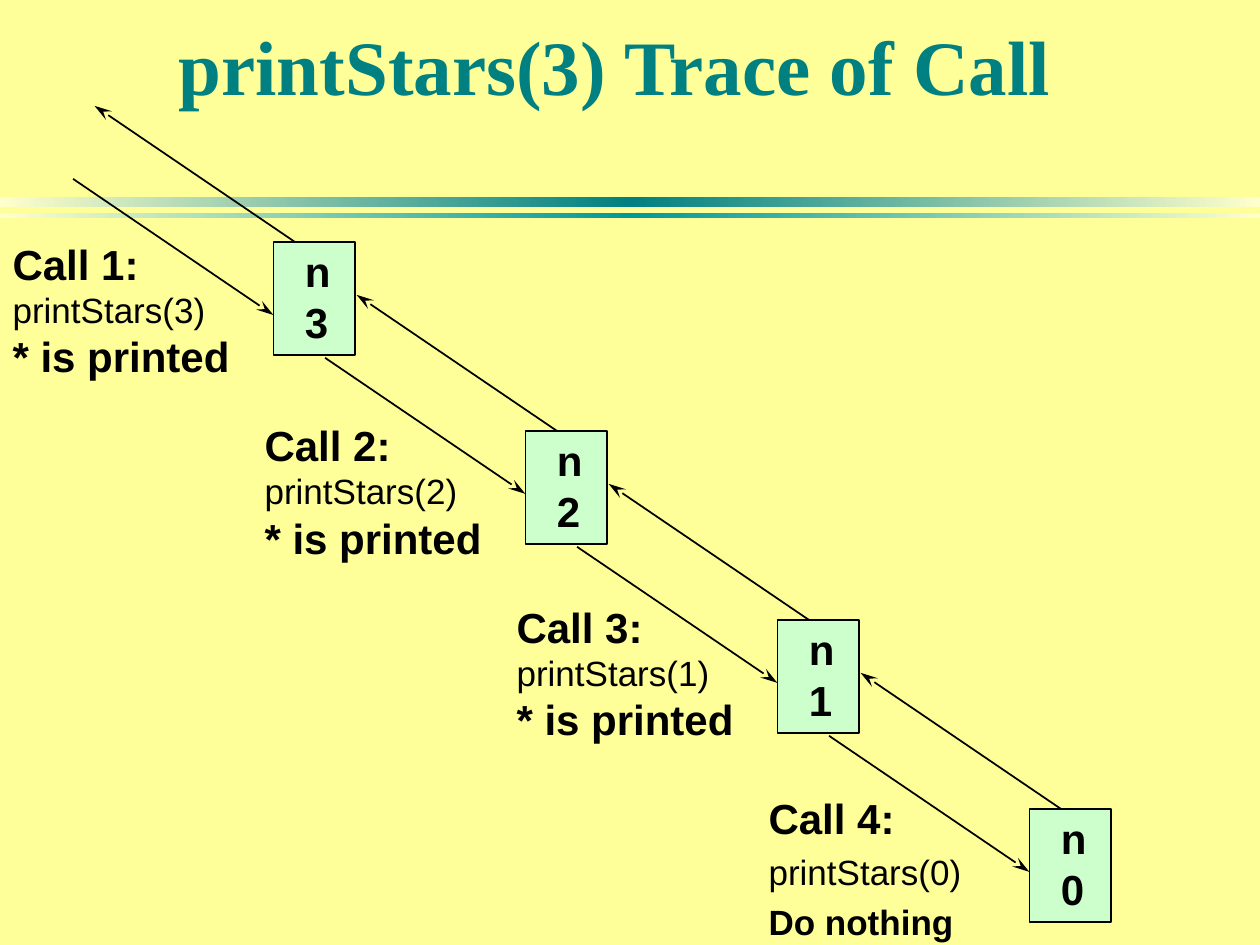
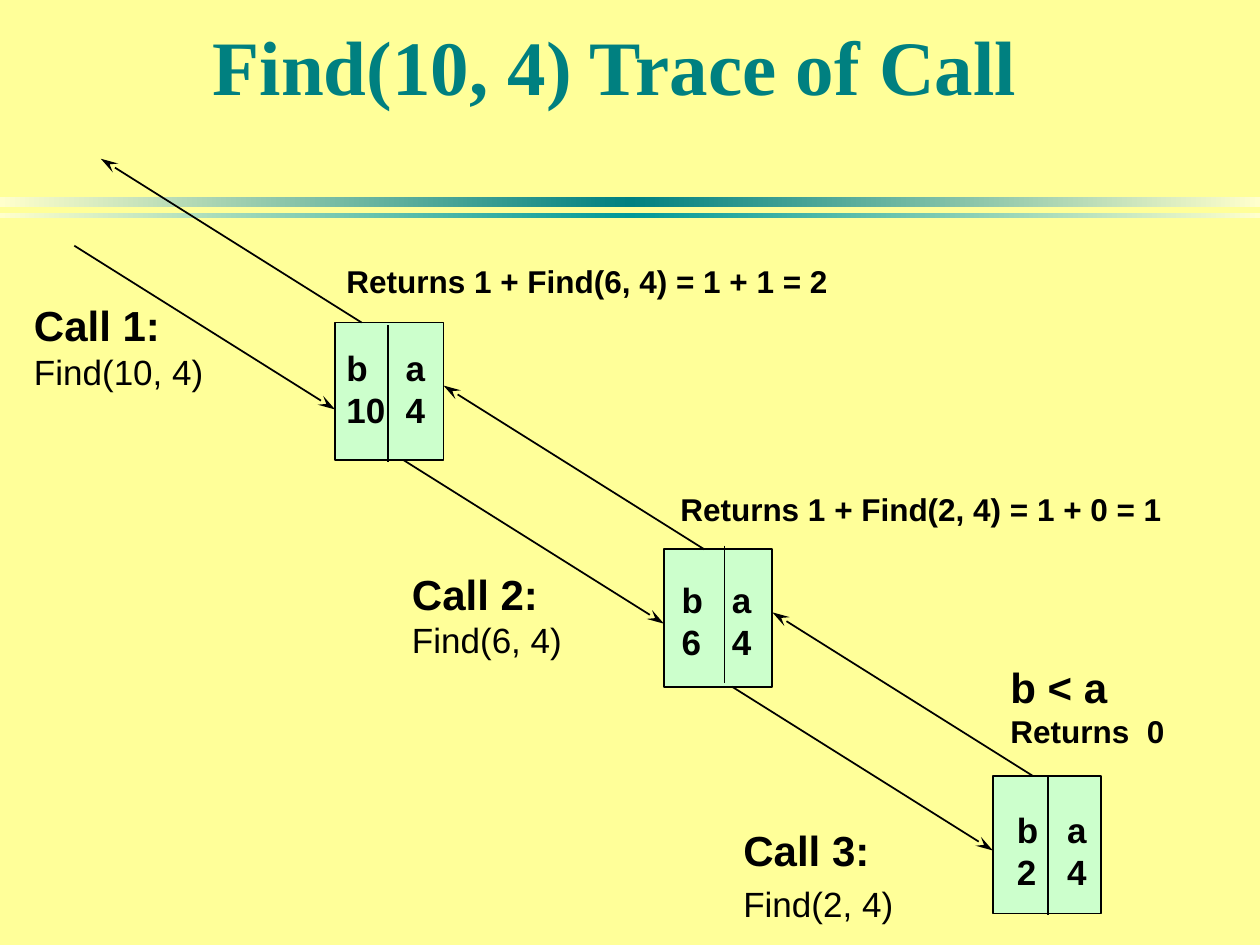
import pptx
import pptx.dml.color
import pptx.enum.shapes
import pptx.enum.text
import pptx.oxml.ns
import pptx.util
from dataclasses import dataclass
from lxml import etree

qn = pptx.oxml.ns.qn
Pt = pptx.util.Pt
SHAPE = pptx.enum.shapes.MSO_SHAPE
ALIGN = pptx.enum.text.PP_ALIGN
ANCHOR = pptx.enum.text.MSO_ANCHOR


@dataclass(frozen=True)
class Theme:
    back: str = "FFFF99"
    box: str = "CCFFCC"
    ink: str = "000000"
    title: str = "008080"
    band_edge: str = "FFFFCC"
    band_dark: str = "008080"
    band_light: str = "009999"
    title_font: str = "Times New Roman"
    body_font: str = "Arial"
    title_size: int = 44
    head_size: int = 24
    code_size: int = 20
    note_size: int = 18
    line_width: int = 1
    wide_gap: float = 4.5


T = Theme()
COLS, ROWS = 10, 7.5
UNIT = pptx.util.Inches(1)


def grid(*values):
    return [round(v * UNIT) for v in values]


def rgb(value):
    return pptx.dml.color.RGBColor.from_string(value)


def add_run(p, text, size, bold=True, font=T.body_font, color=T.ink):
    r = p.add_run()
    r.text = text
    r.font.size = Pt(size)
    r.font.bold = bold
    r.font.name = font
    r.font.color.rgb = rgb(color)


def set_insets(tf, left=0, top=0, right=0, bottom=0):
    tf.margin_left, tf.margin_top, tf.margin_right, tf.margin_bottom = grid(left, top, right, bottom)


def fill_lines(tf, lines, gap=0):
    for i, (text, size, bold) in enumerate(lines):
        p = tf.paragraphs[0] if i == 0 else tf.add_paragraph()
        p.alignment = ALIGN.LEFT
        p.space_before = Pt(gap if i else 0)
        add_run(p, text, size, bold)


def add_text(s, box, lines, gap=0):
    tf = s.shapes.add_textbox(*grid(*box)).text_frame
    tf.word_wrap = False
    set_insets(tf)
    fill_lines(tf, lines, gap)


def add_box(s, box):
    sp = s.shapes.add_shape(SHAPE.RECTANGLE, *grid(*box))
    sp.shadow.inherit = False
    sp.fill.solid()
    sp.fill.fore_color.rgb = rgb(T.box)
    sp.line.color.rgb = rgb(T.ink)
    sp.line.width = Pt(T.line_width)
    return sp


def add_line(s, box, start, end, arrow=True):
    x, y = box[:2]
    ends = grid(x + start[0], y + start[1], x + end[0], y + end[1])
    cn = s.shapes.add_connector(pptx.enum.shapes.MSO_CONNECTOR.STRAIGHT, *ends)
    cn.line.color.rgb = rgb(T.ink)
    cn.line.width = Pt(T.line_width)
    if arrow:
        ln = cn._element.spPr.find(qn("a:ln"))
        etree.SubElement(ln, qn("a:tailEnd"), type="stealth", w="med", len="lg")
    etree.SubElement(cn._element.spPr, qn("a:effectLst"))


def add_arrows(s, box, span, entry, leave):
    dx, dy = span
    add_line(s, box, (-dx, entry - dy), (0, entry))
    add_line(s, box, (leave, 0), (leave - dx, -dy))


def add_band(s, master, box, middle):
    sp = s.shapes.add_shape(SHAPE.RECTANGLE, *grid(*box))
    sp.shadow.inherit = False
    sp.line.fill.background()
    sp.fill.gradient()
    sp.fill.gradient_angle = 0
    stops = sp._element.spPr.find(".//" + qn("a:gsLst"))
    for gs in list(stops):
        stops.remove(gs)
    for share, color in ((0, T.band_edge), (50, middle), (100, T.band_edge)):
        gs = etree.SubElement(stops, qn("a:gs"), pos=str(share * 1000))
        etree.SubElement(gs, qn("a:srgbClr"), val=color)
    master.shapes.element.append(sp._element)


def style_master(prs, s):
    master = prs.slide_master
    master.background.fill.solid()
    master.background.fill.fore_color.rgb = rgb(T.back)
    add_band(s, master, (0, 1.56, COLS, 0.08), T.band_dark)
    add_band(s, master, (0, 1.69, COLS, 0.04), T.band_light)


def add_slide(prs, title):
    s = prs.slides.add_slide(prs.slide_layouts[5])
    sp = s.shapes.title
    sp.left, sp.top, sp.width, sp.height = grid(0.92, 0.42, 8.08, 1.25)
    tf = sp.text_frame
    tf.auto_size = pptx.enum.text.MSO_AUTO_SIZE.NONE
    tf.vertical_anchor = ANCHOR.BOTTOM
    set_insets(tf, left=0.1, right=0.26, bottom=0.79)
    p = tf.paragraphs[0]
    p.alignment = ALIGN.CENTER
    add_run(p, title, T.title_size, font=T.title_font, color=T.title)
    return s


def add_star_call(s, box, n):
    sp = add_box(s, box)
    tf = sp.text_frame
    tf.vertical_anchor = ANCHOR.TOP
    tf.word_wrap = False
    set_insets(tf, left=0.25, top=0.03)
    fill_lines(tf, [("n", T.head_size, True), (str(n), T.head_size, True)])


def build_stars(prs):
    s = add_slide(prs, "printStars(3) Trace of Call")
    for i, n in enumerate((3, 2, 1, 0)):
        box = (2.17 + 2 * i, 1.92 + 1.5 * i, 0.65, 0.9)
        add_star_call(s, box, n)
        entry, leave = (0.5, 0.25) if i else (0.58, 0.17)
        add_arrows(s, box, (1.59, 1.08), entry, leave)
        result = ("* is printed", T.head_size, True) if n else ("Do nothing", T.code_size, True)
        lines = [(f"Call {i + 1}:", T.head_size, True), (f"printStars({n})", T.code_size, False), result]
        top = 1.89 + 1.44 * i if n else 6.29
        add_text(s, (0.1 + 2 * i, top, 1.8, 1.15), lines, gap=0 if n else T.wide_gap)
    return s


def add_find_call(s, box, b, text_at, a_gap, divider):
    x, y, w, h = box
    add_box(s, box)
    dx, dy = text_at
    for name, value, shift in (("b", b, 0), ("a", 4, a_gap)):
        lines = [(name, T.code_size, True), (str(value), T.code_size, True)]
        add_text(s, (x + dx + shift, y + dy, 0.4, 0.67), lines)
    mid, drop = divider
    add_line(s, box, (mid, drop), (mid, drop + h), arrow=False)


def build_find(prs):
    s = add_slide(prs, "Find(10, 4) Trace of Call")
    calls = [
        (10, (0.09, 0.19), 0.47, (0.42, 0.02), (0.27, 2.38), 0),
        (6, (0.14, 0.23), 0.4, (0.48, -0.03), (3.27, 4.51), 0),
        (2, (0.19, 0.26), 0.4, (0.44, 0.01), (5.9, 6.54), T.wide_gap),
    ]
    for i, (b, text_at, a_gap, divider, label_at, gap) in enumerate(calls):
        box = (2.66 + 2.61 * i, 2.56 + 1.8 * i, 0.86, 1.09)
        add_find_call(s, box, b, text_at, a_gap, divider)
        entry, leave = (0.59, 0.32) if i else (0.69, 0.21)
        add_arrows(s, box, (2.07, 1.3), entry, leave)
        lines = [(f"Call {i + 1}:", T.head_size, True), (f"Find({b}, 4)", T.code_size, False)]
        add_text(s, (*label_at, 1.4, 0.75), lines, gap)
    for x, y, result in (
        (2.75, 2.08, "Returns 1 + Find(6, 4) = 1 + 1 = 2"),
        (5.4, 3.89, "Returns 1 + Find(2, 4) = 1 + 0 = 1"),
    ):
        add_text(s, (x, y, 3.9, 0.3), [(result, T.note_size, True)])
    base_case = [("b < a", T.head_size, True), ("Returns  0", T.note_size, True)]
    add_text(s, (8.02, 5.25, 1.3, 0.7), base_case)


def main():
    prs = pptx.Presentation()
    prs.slide_width, prs.slide_height = grid(COLS, ROWS)
    s = build_stars(prs)
    style_master(prs, s)
    build_find(prs)
    prs.save("out.pptx")


if __name__ == "__main__":
    main()
